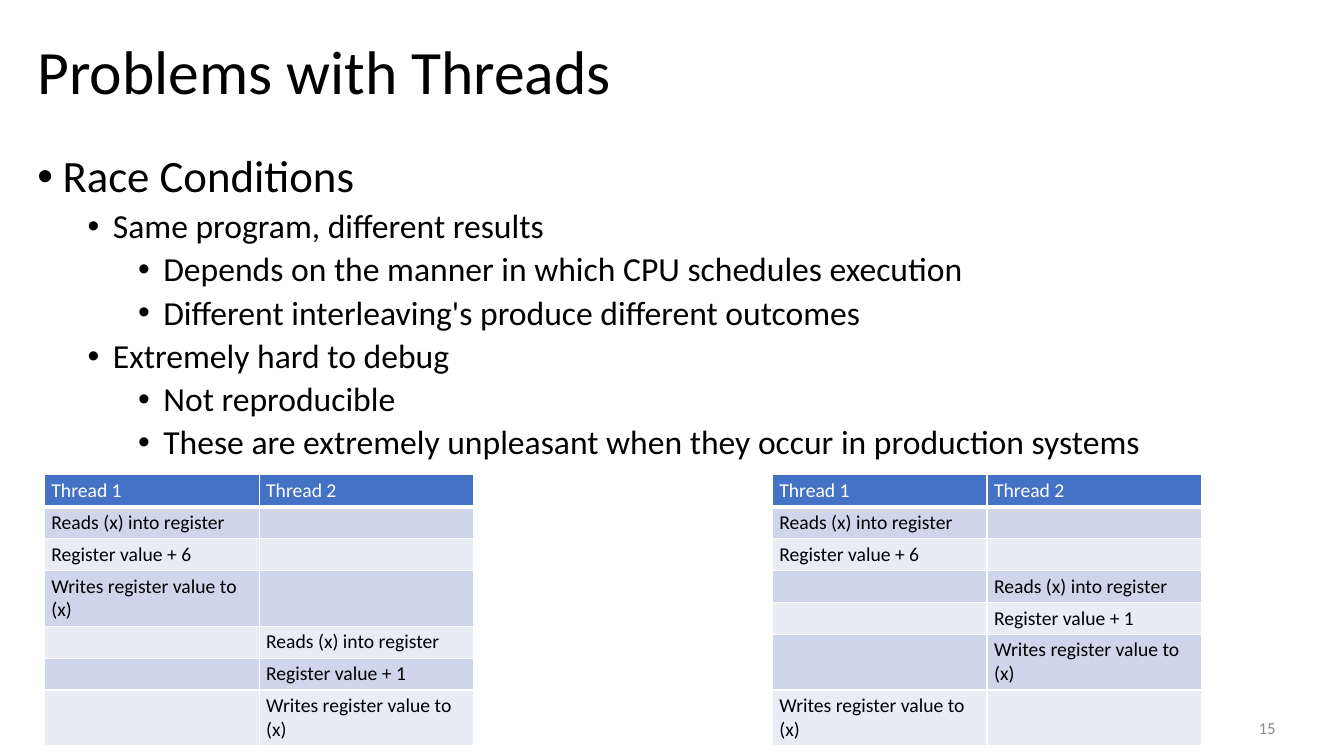
from pptx import Presentation, util as u
from pptx.dml.color import RGBColor
from pptx.enum import text as t
from pptx.oxml import parse_xml
from pptx.oxml.ns import nsdecls

INK, WHITE, GREY = "000000", "FFFFFF", "8C8C8C"
HEAD, BANDS = "4472C4", ("CFD5EA", "E9EBF5")


def rgb(code):
    return RGBColor.from_string(code)


def node(tag, attrs="", inner=""):
    return parse_xml(f'<a:{tag} {nsdecls("a")} {attrs}>{inner}</a:{tag}>')


def put(item, style):
    for name, value in style.items():
        setattr(item, name, value)


def place(item, *box):
    put(item, dict(zip(("left", "top", "width", "height"), map(u.Inches, box))))


class Page:
    face = "Calibri"
    frame = {"word_wrap": True, "auto_size": t.MSO_AUTO_SIZE.NONE}
    pad = {"margin_left": u.Inches(0.07), "margin_right": u.Inches(0.07),
           "margin_top": u.Inches(0.04), "margin_bottom": u.Inches(0.04)}
    sizes = (32, 24, 24)

    def __init__(self, deck):
        self.slide = deck.slides.add_slide(deck.slide_layouts[1])

    def label(self, para, words, size, color, **style):
        put(para, style)
        run = para.add_run()
        run.text = words
        put(run.font, {"name": self.face, "size": u.Pt(size), "bold": False})
        run.font.color.rgb = rgb(color)

    def title(self, words, *box):
        shape = self.slide.shapes.title
        place(shape, *box)
        put(shape.text_frame,
            {**self.frame, "vertical_anchor": t.MSO_ANCHOR.MIDDLE})
        self.label(shape.text_frame.paragraphs[0], words, 44, INK,
                   alignment=t.PP_ALIGN.LEFT, line_spacing=0.9)

    def list(self, items, *box):
        shape = self.slide.placeholders[1]
        place(shape, *box)
        body = shape.text_frame
        put(body, {**self.frame, "vertical_anchor": t.MSO_ANCHOR.TOP})
        for i, (level, words) in enumerate(items):
            para = body.add_paragraph() if i else body.paragraphs[0]
            self.label(para, words, self.sizes[level], INK, level=level,
                       line_spacing=0.9, space_before=u.Pt(5 if level else 10))
            # Hanging bullet, half an inch deeper per level
            props = para._p.get_or_add_pPr()
            props.set("marL", str(u.Inches(0.25 + 0.5 * level)))
            props.set("indent", str(u.Inches(-0.25)))
            props.append(node("buFont", 'typeface="Arial"'))
            props.append(node("buChar", 'char="•"'))

    def cell(self, cell, words, fill, color, base):
        put(cell, self.pad)
        props = cell._tc.get_or_add_tcPr()
        line = f'<a:solidFill><a:srgbClr val="{WHITE}"/></a:solidFill>'
        for side in "LRTB":
            width = u.Pt(base if side == "B" else 1)
            props.append(node("ln" + side, f'w="{width}"', line))
        cell.fill.solid()
        cell.fill.fore_color.rgb = rgb(fill)
        para = cell.text_frame.paragraphs[0]
        if words:
            self.label(para, words, 14, color)
        else:
            para._p.append(node("endParaRPr", 'sz="1400"',
                                f'<a:latin typeface="{self.face}"/>'))

    def table(self, steps, *box):
        rows = [("Thread 1", "Thread 2")]
        rows += [(step, "") if who == 1 else ("", step) for who, step in steps]
        grid = self.slide.shapes.add_table(
            len(rows), 2, *map(u.Inches, box)).table
        for i, row in enumerate(rows):
            grid.rows[i].height = u.Inches(0.53 if STORE in row else 0.3)
            fill = BANDS[(i - 1) % 2] if i else HEAD
            for j, words in enumerate(row):
                self.cell(grid.cell(i, j), words, fill,
                          INK if i else WHITE, 1 if i else 3)

    def number(self, words, *box):
        body = self.slide.shapes.add_textbox(*map(u.Inches, box)).text_frame
        put(body, {**self.frame, "vertical_anchor": t.MSO_ANCHOR.MIDDLE})
        self.label(body.paragraphs[0], words, 12, GREY,
                   alignment=t.PP_ALIGN.RIGHT)


LOAD, STORE = "Reads (x) into register", "Writes register value to (x)"
FIRST = [(1, LOAD), (1, "Register value + 6")]
LAST = (1, STORE)
OTHER = [(2, LOAD), (2, "Register value + 1"), (2, STORE)]


def main():
    deck = Presentation()
    put(deck, {"slide_width": u.Inches(13.33), "slide_height": u.Inches(7.5)})
    page = Page(deck)

    # Heading and list
    page.title("Problems with Threads", 0.27, 0.23, 12.76, 1.01)
    page.list([
        (0, "Race Conditions"),
        (1, "Same program, different results"),
        (2, "Depends on the manner in which CPU schedules execution"),
        (2, "Different interleaving's produce different outcomes"),
        (1, "Extremely hard to debug"),
        (2, "Not reproducible"),
        (2, "These are extremely unpleasant when they occur "
            "in production systems"),
    ], 0.27, 1.48, 12.76, 5.33)

    # The two interleavings
    page.table(FIRST + [LAST] + OTHER, 0.44, 4.71, 4.26, 2.62)
    page.table(FIRST + OTHER + [LAST], 7.66, 4.71, 4.26, 2.62)

    # Slide number
    page.number("15", 9.42, 7.02, 3.33, 0.4)
    deck.save("out.pptx")


if __name__ == "__main__":
    main()
